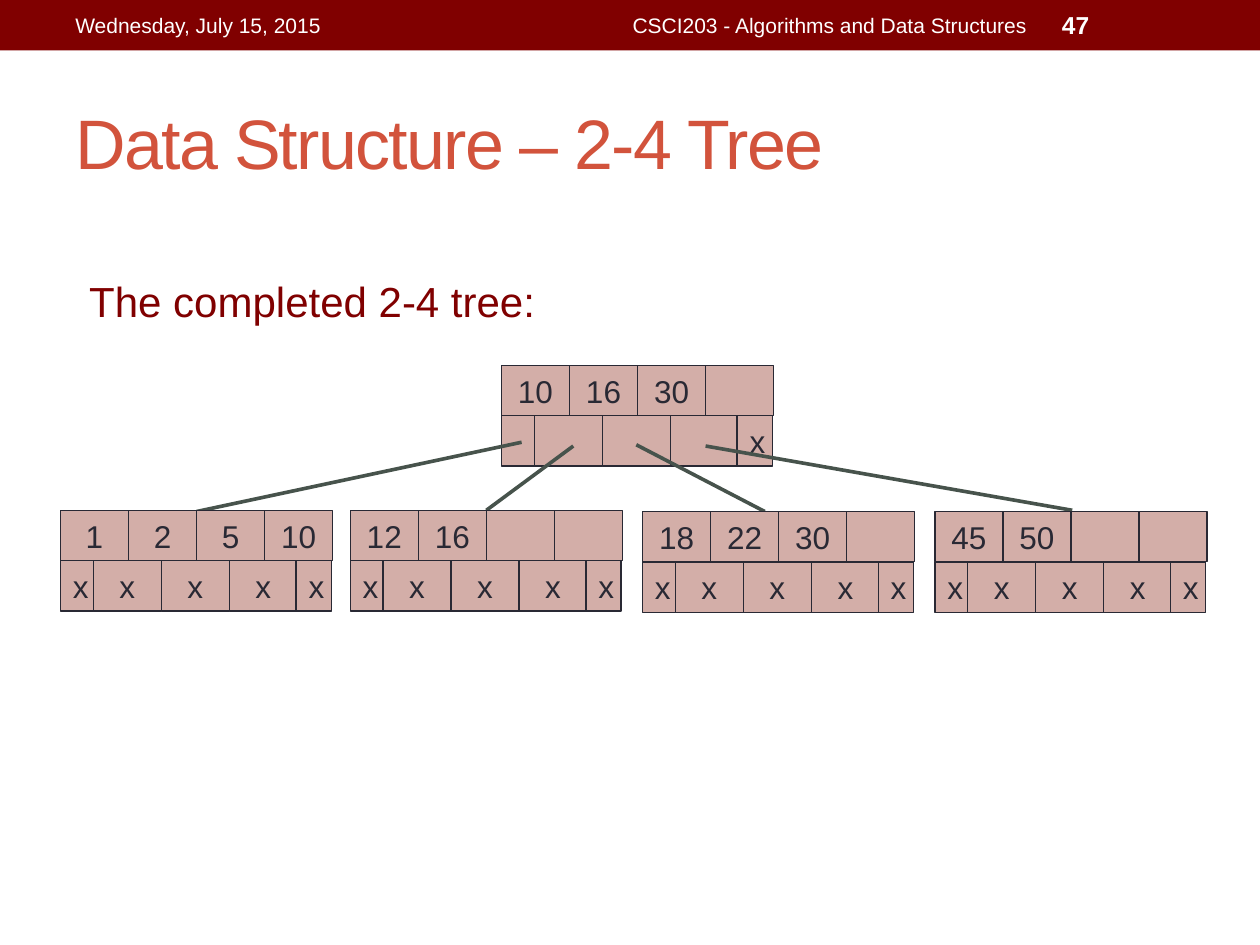
from dataclasses import dataclass

from pptx import Presentation
from pptx.dml.color import RGBColor
from pptx.enum.shapes import MSO_CONNECTOR as CONN, MSO_SHAPE as SHAPE
from pptx.enum.text import MSO_ANCHOR as ANCHOR, PP_ALIGN as ALIGN
from pptx.oxml.ns import qn
from pptx.util import Inches, Pt


@dataclass(frozen=True)
class Theme:
    """Colours, type sizes and line widths of the deck."""
    font: str = "Arial"
    bar: str = "800000"
    title: str = "D2533C"
    white: str = "FFFFFF"
    ink: str = "292934"
    cell: str = "D3AEA8"
    link: str = "47534C"
    title_size: float = 40
    lead_size: float = 24
    cell_size: float = 18
    number_size: float = 14
    header_size: float = 12
    border: float = 0.75
    link_width: float = 2.08


class Builder:
    """Draws styled elements on the current slide."""

    KEY_W, ROW_H = 0.54, 0.4
    POINTERS = [(0, 0.27), (0.26, 0.54), (0.8, 0.54), (1.34, 0.54), (1.87, 0.28)]

    def __init__(self, s, theme):
        """Keep the slide and its style."""
        self.s, self.t = s, theme

    def add_run(self, tf, text, size, color, align=ALIGN.LEFT, anchor=ANCHOR.MIDDLE, bold=False):
        """Put one formatted run into a text frame."""
        tf.word_wrap, tf.vertical_anchor = True, anchor
        p = tf.paragraphs[0]
        p.alignment = align
        r = p.add_run()
        r.text = text
        for name, value in {"name": self.t.font, "size": Pt(size), "bold": bold}.items():
            setattr(r.font, name, value)
        r.font.color.rgb = RGBColor.from_string(color)
        return r

    def title(self, text, x, y, w, h):
        """Fill the title placeholder."""
        sp = self.s.shapes.title
        for name, value in {"left": x, "top": y, "width": w, "height": h}.items():
            setattr(sp, name, Inches(value))
        r = self.add_run(sp.text_frame, text, self.t.title_size, self.t.title)
        r.font._element.set("spc", "-100")

    def text(self, text, x, y, w, h, size, color, **fmt):
        """Add a text box."""
        sp = self.s.shapes.add_textbox(*map(Inches, (x, y, w, h)))
        self.add_run(sp.text_frame, text, size, color, **fmt)

    def rect(self, x, y, w, h, fill, border=None):
        """Add a flat rectangle."""
        sp = self.s.shapes.add_shape(SHAPE.RECTANGLE, *map(Inches, (x, y, w, h)))
        sp.shadow.inherit = False
        sp.fill.solid()
        sp.fill.fore_color.rgb = RGBColor.from_string(fill)
        if border:
            sp.line.color.rgb = RGBColor.from_string(border)
            sp.line.width = Pt(self.t.border)
        else:
            sp.line.fill.background()
        return sp

    def cell(self, text, x, y, w):
        """Add one cell of a tree node."""
        sp = self.rect(x, y, w, self.ROW_H, self.t.cell, self.t.ink)
        if text:
            self.add_run(sp.text_frame, text, self.t.cell_size, self.t.ink, ALIGN.CENTER)

    def node(self, x, y, keys, pointers):
        """Add a tree node: a row of keys above a row of pointers."""
        for i, key in enumerate(keys):
            self.cell(key, x + i * self.KEY_W, y, self.KEY_W)
        for mark, (dx, w) in zip(pointers, self.POINTERS):
            self.cell(mark, x + dx, y + self.ROW_H, w)

    def link(self, x1, y1, x2, y2):
        """Join a pointer to a child node."""
        c = self.s.shapes.add_connector(CONN.STRAIGHT, *map(Inches, (x1, y1, x2, y2)))
        c.line.color.rgb = RGBColor.from_string(self.t.link)
        c.line.width = Pt(self.t.link_width)
        spPr = c._element.spPr
        spPr.append(spPr.makeelement(qn("a:effectLst"), {}))


def main():
    """Build the slide and save it."""
    prs = Presentation()
    prs.slide_width, prs.slide_height = Inches(10), Inches(7.5)
    t = Theme()
    b = Builder(prs.slides.add_slide(prs.slide_layouts[5]), t)

    b.rect(0, 0, 10, 0.4, t.bar)
    b.title("Data Structure – 2-4 Tree", 0.5, 0.58, 9, 1.08)
    b.text("Wednesday, July 15, 2015", 0.5, 0.02, 3.17, 0.36, t.header_size, t.white)
    b.text("CSCI203 - Algorithms and Data Structures", 3.75, 0.02, 4.5, 0.36,
           t.header_size, t.white, align=ALIGN.RIGHT)
    b.text("47", 8.33, 0.02, 1.17, 0.36, t.number_size, t.white, bold=True)
    b.text("The completed 2-4 tree:", 0.61, 2.14, 4.09, 0.5, t.lead_size, t.bar,
           anchor=ANCHOR.TOP)

    b.node(3.98, 2.9, ["10", "16", "30", ""], ["", "", "", "", "x"])
    links = [(4.14, 3.51, 1.56, 4.06), (4.55, 3.54, 3.86, 4.05),
             (5.05, 3.53, 6.07, 4.06), (5.6, 3.54, 8.51, 4.05)]
    for ends in links:
        b.link(*ends)
    leaves = [(0.48, 4.05, ["1", "2", "5", "10"]), (2.78, 4.05, ["12", "16", "", ""]),
              (5.1, 4.06, ["18", "22", "30", ""]), (7.42, 4.06, ["45", "50", "", ""])]
    for x, y, keys in leaves:
        b.node(x, y, keys, "xxxxx")

    prs.save("out.pptx")


if __name__ == "__main__":
    main()
